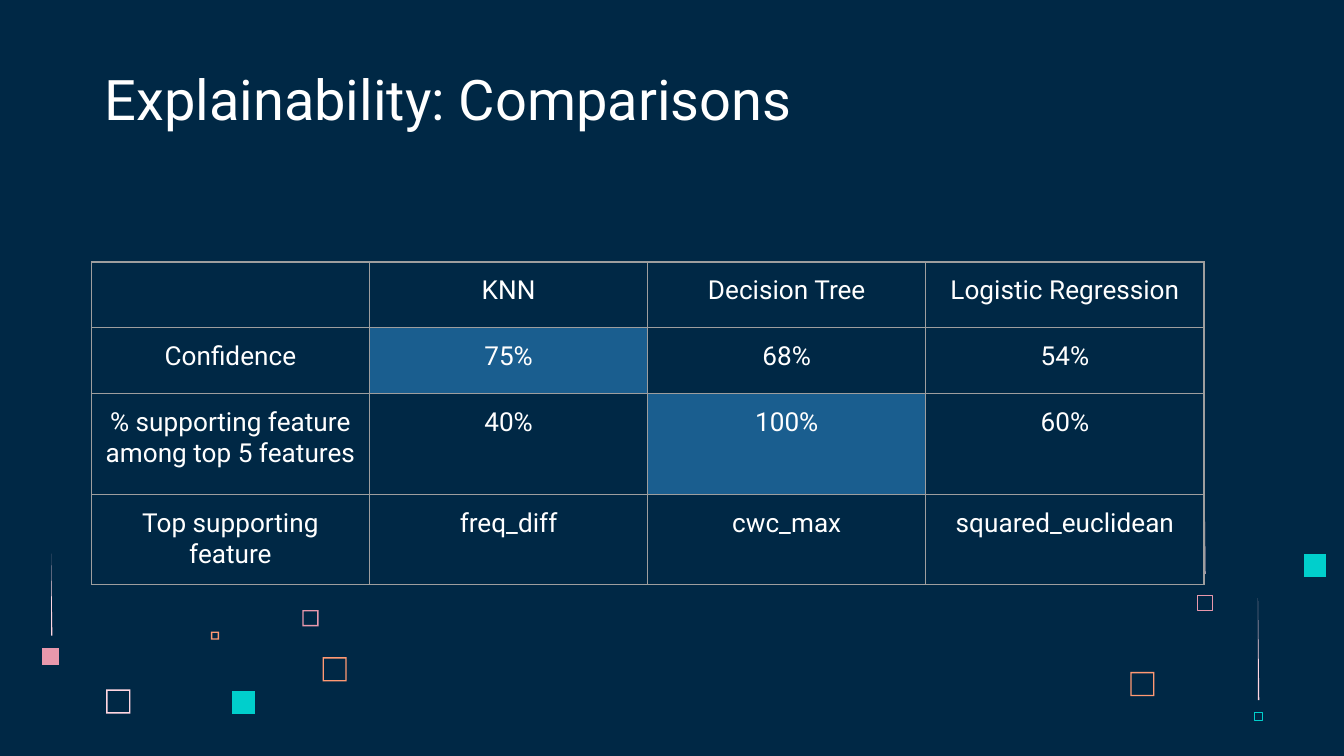
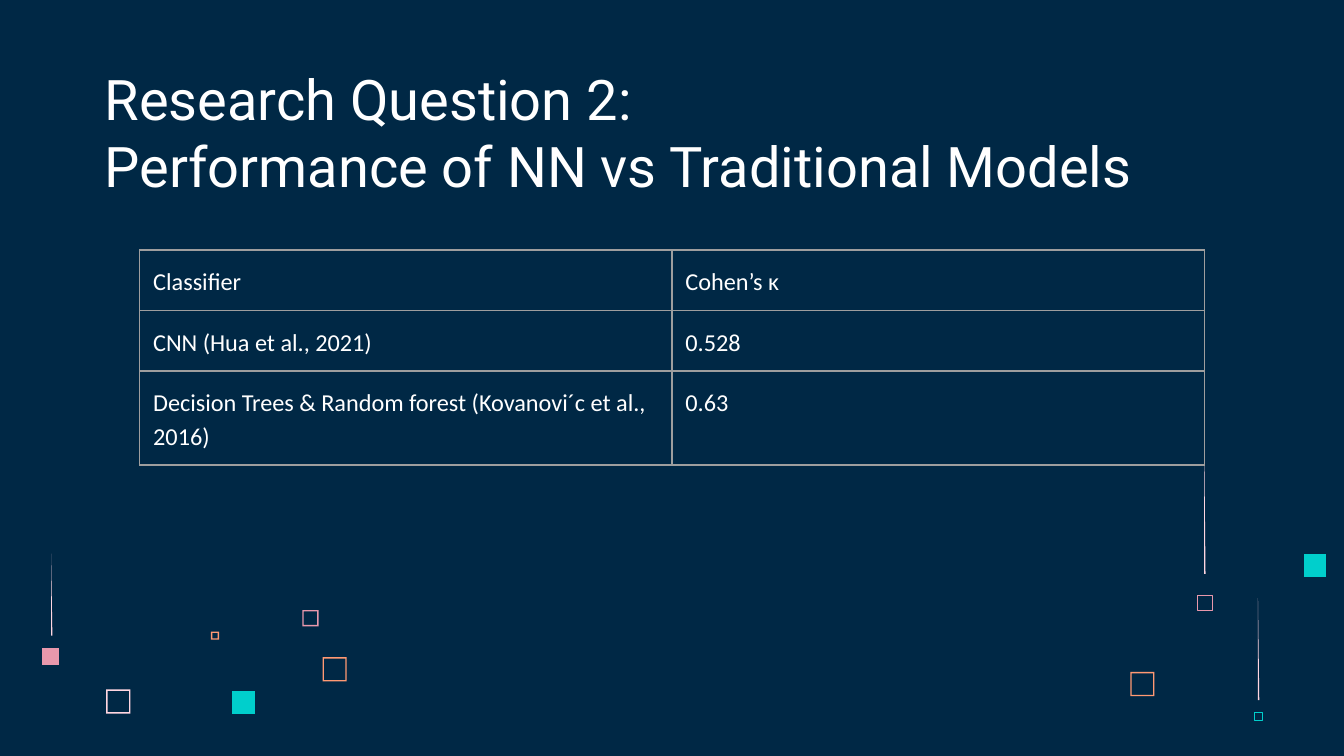
import pptx
import pptx.util
import pptx.dml.color
import pptx.enum.text
import pptx.oxml
import pptx.oxml.ns

Inches = pptx.util.Inches
Pt = pptx.util.Pt

COLORS = {
    "navy": "002845", "white": "FFFFFF", "blush": "FFD6E1", "pink": "E898AC",
    "orange": "FF9973", "teal": "00CFCC", "grid": "9E9E9E", "best": "1A5E8F",
}
MARGINS = dict.fromkeys(
    ("margin_left", "margin_right", "margin_top", "margin_bottom"), Inches(0.1))
TITLE_FONT = {"name": "Roboto", "size": Pt(30)}
ROBOTO_CELL = {"name": "Roboto", "size": Pt(14)}
CALIBRI_CELL = {"name": "Calibri", "size": Pt(13)}
CENTERED = {"alignment": pptx.enum.text.PP_ALIGN.CENTER}
SPACED = {"line_spacing": 1.15, "space_after": Pt(6)}

# Decoration parts, measured from the top left of their cluster
LEFT_CLUSTER = {
    "frames": [(0.48, 1.01, 0.18, "blush"), (1.94, 0.42, 0.12, "pink"),
               (1.26, 0.58, 0.06, "orange"), (2.09, 0.77, 0.18, "orange")],
    "squares": [(1.42, 1.02, 0.17, "teal")],
    "comets": [(0, 0.7, 0.13, "pink", True, 0.07, 0, 0.61)],
}
RIGHT_CLUSTER = {
    "frames": [(0, 1.71, 0.18, "orange")],
    "squares": [(1.29, 0.83, 0.17, "teal")],
    "comets": [(0.5, 1.14, 0.11, "pink", False, 0.55, 0, 0.98),
               (0.92, 2.01, 0.06, "teal", False, 0.95, 1.16, 0.76)],
}


def rgb(name):
    return pptx.dml.color.RGBColor.from_string(COLORS[name])


def apply(target, values):
    for name, value in values.items():
        setattr(target, name, value)


def add_text(p, text, font):
    r = p.add_run()
    r.text = text
    apply(r.font, font)
    r.font.color.rgb = rgb("white")


def outline(shapes, contours, color, filled=True):
    """Draw closed contours as one shape, filled or with a hairline."""
    paths = [[(Inches(x), Inches(y)) for x, y in c] for c in contours]
    fb = shapes.build_freeform(*paths[0][0], scale=1.0)
    fb.add_line_segments(paths[0][1:], close=True)
    for path in paths[1:]:
        fb.move_to(*path[0])
        fb.add_line_segments(path[1:], close=True)
    sp = fb.convert_to_shape()
    sp.shadow.inherit = False
    if filled:
        sp.fill.solid()
        sp.fill.fore_color.rgb = rgb(color)
        sp.line.fill.background()
    else:
        sp.fill.background()
        sp.line.color.rgb = rgb(color)
        sp.line.width = Pt(0.23)


def square(x, y, size):
    return [(x, y), (x + size, y), (x + size, y + size), (x, y + size)]


def add_cluster(s, left, top, parts):
    for x, y, size, color in parts["frames"]:
        x, y = left + x, top + y
        hole = square(x + 0.01, y + 0.01, size - 0.02)[::-1]
        outline(s.shapes, [hole, square(x, y, size)], color)
    for x, y, size, color in parts["squares"]:
        outline(s.shapes, [square(left + x, top + y, size)], color)
    # A square with a thin tapering tail above it
    for x, y, size, color, filled, tail_x, tail_y, length in parts["comets"]:
        group = s.shapes.add_group_shape()
        outline(group.shapes, [square(left + x, top + y, size)], color, filled)
        x, y = left + tail_x, top + tail_y
        tail = [(x, y), (x, y + length), (x + 0.01, y + length)]
        outline(group.shapes, [tail], "blush")


def add_title(s, left, top, width, height, lines):
    box = s.shapes.add_textbox(*map(Inches, (left, top, width, height)))
    tf = box.text_frame
    apply(tf, {"word_wrap": True,
               "vertical_anchor": pptx.enum.text.MSO_ANCHOR.BOTTOM, **MARGINS})
    for i, line in enumerate(lines):
        p = tf.paragraphs[0] if i == 0 else tf.add_paragraph()
        add_text(p, line, TITLE_FONT)


def add_borders(cell):
    tc_pr = cell._tc.get_or_add_tcPr()
    for i, side in enumerate(("lnL", "lnR", "lnT", "lnB")):
        tc_pr.insert(i, pptx.oxml.parse_xml(
            f'<a:{side} {pptx.oxml.ns.nsdecls("a")} w="{Pt(0.75)}"><a:solidFill>'
            f'<a:srgbClr val="{COLORS["grid"]}"/></a:solidFill></a:{side}>'))


def set_empty_size(p, size):
    """Keep an empty cell from growing its row."""
    p._p.append(pptx.oxml.parse_xml(
        f'<a:endParaRPr {pptx.oxml.ns.nsdecls("a")} sz="{int(size.pt * 100)}"/>'))


def add_grid(s, left, top, col_width, row_heights, rows, font, para, best=()):
    """Table with equal columns; cells listed in best are highlighted."""
    cols = len(rows[0])
    tbl = s.shapes.add_table(
        len(rows), cols, Inches(left), Inches(top),
        Inches(col_width * cols), Inches(sum(row_heights))).table
    apply(tbl, {"first_row": False, "horz_banding": False})
    for col in tbl.columns:
        col.width = Inches(col_width)
    for i, (row, height) in enumerate(zip(rows, row_heights)):
        tbl.rows[i].height = Inches(height)
        for j, text in enumerate(row):
            cell = tbl.cell(i, j)
            apply(cell, MARGINS)
            if (i, j) in best:
                cell.fill.solid()
                cell.fill.fore_color.rgb = rgb("best")
            else:
                cell.fill.background()
            add_borders(cell)
            p = cell.text_frame.paragraphs[0]
            apply(p, para)
            if text:
                add_text(p, text, font)
            else:
                set_empty_size(p, font["size"])


def new_slide(prs):
    s = prs.slides.add_slide(prs.slide_layouts[6])
    s.background.fill.solid()
    s.background.fill.fore_color.rgb = rgb("navy")
    add_cluster(s, 0.31, 4.12, LEFT_CLUSTER)
    add_cluster(s, 8.41, 3.29, RIGHT_CLUSTER)
    return s


def comparison_slide(prs):
    s = new_slide(prs)
    add_title(s, 0.68, 0.45, 8.72, 0.63, ["Explainability: Comparisons"])
    add_grid(s, 0.68, 1.95, 2.07, [0.49, 0.49, 0.75, 0.49], [
        ["", "KNN", "Decision Tree", "Logistic Regression"],
        ["Confidence", "75%", "68%", "54%"],
        ["% supporting feature among top 5 features", "40%", "100%", "60%"],
        ["Top supporting feature", "freq_diff", "cwc_max", "squared_euclidean"],
    ], ROBOTO_CELL, CENTERED, best={(1, 1), (2, 2)})


def performance_slide(prs):
    s = new_slide(prs)
    add_title(s, 0.68, 0.48, 9.42, 1.1,
              ["Research Question 2:", "Performance of NN vs Traditional Models"])
    add_grid(s, 1.04, 1.86, 3.96, [0.45, 0.45, 0.7], [
        ["Classifier", "Cohen’s κ"],
        ["CNN (Hua et al., 2021)", "0.528"],
        ["Decision Trees & Random forest (Kovanovi´c et al., 2016)", "0.63"],
    ], CALIBRI_CELL, SPACED)


def main():
    prs = pptx.Presentation()
    # Widescreen, 16:9
    prs.slide_width = Inches(10)
    prs.slide_height = Inches(10) * 9 // 16
    comparison_slide(prs)
    performance_slide(prs)
    prs.save("out.pptx")


if __name__ == "__main__":
    main()
